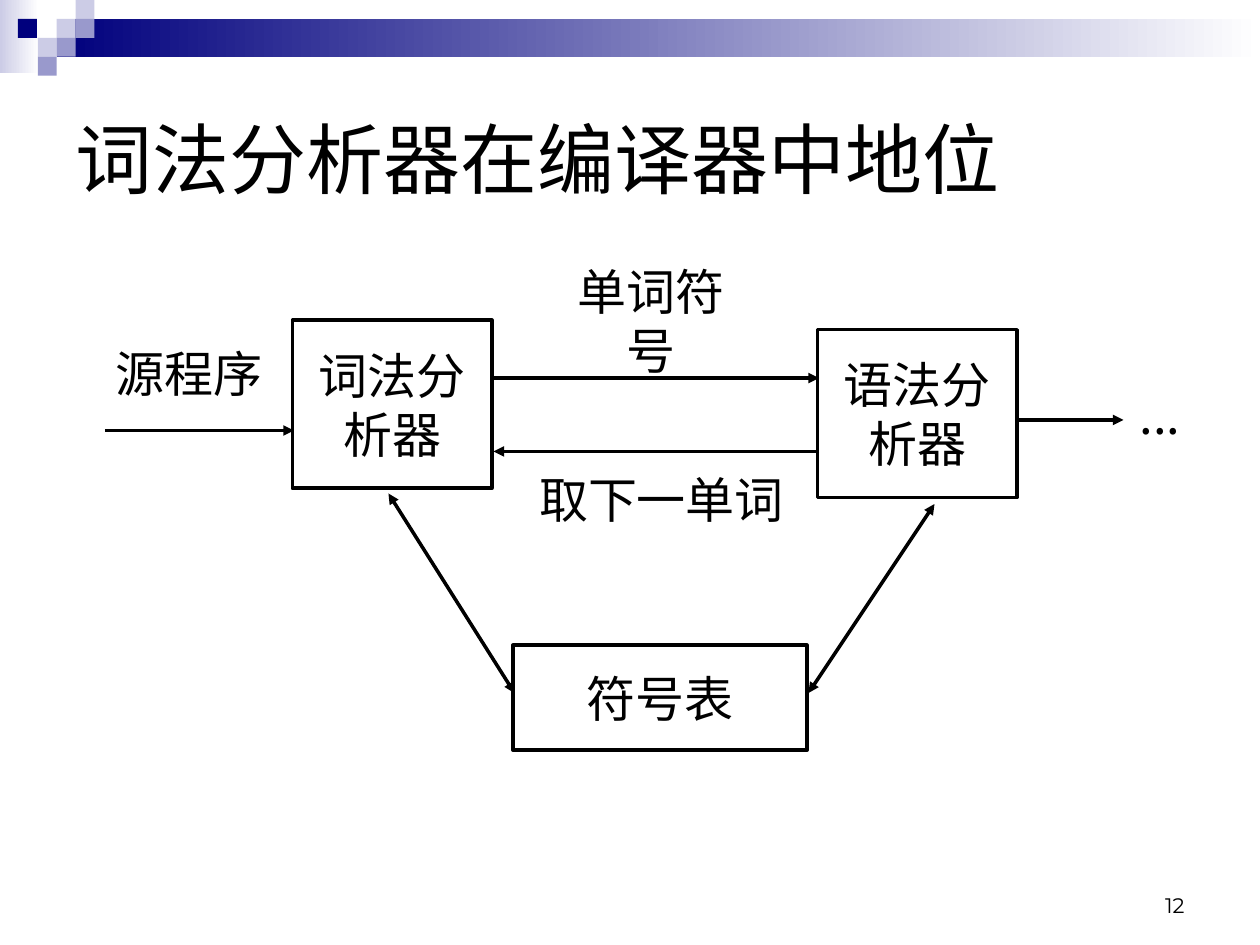
"""Build a slide on the place of the lexical analyser in a compiler."""
from dataclasses import dataclass

from lxml import etree
from pptx import Presentation
from pptx import util as u
from pptx.dml.color import RGBColor
from pptx.enum import shapes, text
from pptx.oxml.ns import qn

COLORS = {"ink": "000000", "navy": "00007D", "lilac": "CCCCE6",
          "violet": "9999CC", "white": "FFFFFF"}
CJK = "Noto Sans CJK SC"
COLS, ROWS = 120, 90
WIDTH, HEIGHT = u.Inches(10), u.Inches(7.5)
TILE = 1.8


@dataclass(frozen=True)
class Label:
    words: str
    col: float
    row: float
    cols: float
    rows: float
    boxed: bool = False


@dataclass(frozen=True)
class Arrow:
    start: tuple[float, float]
    end: tuple[float, float]
    double: bool = False


@dataclass(frozen=True)
class Band:
    col: float
    row: float
    cols: float
    rows: float
    color: str
    fade: bool = False


LABELS = [
    Label("词法分\n析器", 27.85, 30.5, 19, 16, True),
    Label("语法分\n析器", 77.85, 31.4, 19, 16, True),
    Label("符号表", 48.85, 61.45, 28, 10, True),
    Label("源程序", 8, 31, 20, 9),
    Label("单词符号", 52, 26, 20, 9),
    Label("取下一单词", 48, 43, 30, 9),
    Label("...", 105, 35, 11, 9),
]
ARROWS = [
    Arrow((10, 41), (28, 41)),
    Arrow((47, 36), (78, 36)),
    Arrow((78, 43), (47, 43)),
    Arrow((37, 47), (49, 66), True),
    Arrow((89, 48), (77, 66), True),
    Arrow((97, 40), (107, 40)),
]
TILES = [(3, 1, "lilac"), (4, 0, "lilac"), (4, 1, "violet"), (2, 2, "lilac"),
         (0.95, 1, "navy"), (3, 2, "violet"), (2, 3, "violet")]
BANDS = [
    Band(0, 0, 3.7, 7, "lilac", True),
    Band(3 * TILE, TILE, COLS - 3 * TILE, 2 * TILE, "navy", True),
    *(Band(c * TILE, r * TILE, TILE, TILE, color) for c, r, color in TILES),
]


def x(col: float) -> int:
    return round(WIDTH * col / COLS)


def y(row: float) -> int:
    return round(HEIGHT * row / ROWS)


def rgb(name: str) -> RGBColor:
    return RGBColor.from_string(COLORS[name])


def write(sp, words: str, *, size: float = 28, font: str = CJK, wrap: bool = False,
          align=text.PP_ALIGN.CENTER, anchor=text.MSO_ANCHOR.MIDDLE) -> None:
    tf = sp.text_frame
    tf.word_wrap = wrap
    tf.vertical_anchor = anchor
    tf.text = words
    for p in tf.paragraphs:
        p.alignment = align
        for r in p.runs:
            r.font.size = u.Pt(size)
            r.font.color.rgb = rgb("ink")
            r.font.name = font
            etree.SubElement(r.font._element, qn("a:ea"), typeface=font)


def add_rect(s, col: float, row: float, cols: float, rows: float):
    sp = s.shapes.add_shape(shapes.MSO_SHAPE.RECTANGLE, x(col), y(row), x(cols), y(rows))
    sp.shadow.inherit = False
    return sp


def add_text(s, words: str, col: float, row: float, cols: float, rows: float, **style) -> None:
    write(s.shapes.add_textbox(x(col), y(row), x(cols), y(rows)), words, **style)


def add_band(s, band: Band) -> None:
    sp = add_rect(s, band.col, band.row, band.cols, band.rows)
    sp.line.fill.background()
    if band.fade:
        sp.fill.gradient()
        sp.fill.gradient_angle = 0
        for stop, color in zip(sp.fill.gradient_stops, (band.color, "white")):
            stop.color.rgb = rgb(color)
    else:
        sp.fill.solid()
        sp.fill.fore_color.rgb = rgb(band.color)


def add_label(s, label: Label) -> None:
    place = label.col, label.row, label.cols, label.rows
    if not label.boxed:
        add_text(s, label.words, *place)
        return
    sp = add_rect(s, *place)
    sp.fill.background()
    sp.line.color.rgb = rgb("ink")
    sp.line.width = u.Pt(2)
    write(sp, label.words)


def add_arrow(s, arrow: Arrow) -> None:
    (c1, r1), (c2, r2) = arrow.start, arrow.end
    sp = s.shapes.add_connector(shapes.MSO_CONNECTOR.STRAIGHT, x(c1), y(r1), x(c2), y(r2))
    sp.line.color.rgb = rgb("ink")
    sp.line.width = u.Pt(2)
    props = sp._element.spPr
    for end in ("a:headEnd", "a:tailEnd") if arrow.double else ("a:tailEnd",):
        etree.SubElement(props.find(qn("a:ln")), qn(end), type="triangle")
    etree.SubElement(props, qn("a:effectLst"))


def main() -> None:
    prs = Presentation()
    prs.slide_width, prs.slide_height = WIDTH, HEIGHT
    s = prs.slides.add_slide(prs.slide_layouts[6])
    for band in BANDS:
        add_band(s, band)
    add_text(s, "12", 86, 82, 28, 6, size=12, font="Montserrat", wrap=True,
             align=text.PP_ALIGN.RIGHT, anchor=text.MSO_ANCHOR.BOTTOM)
    for label in LABELS:
        add_label(s, label)
    for arrow in ARROWS:
        add_arrow(s, arrow)
    add_text(s, "词法分析器在编译器中地位", 6, 6, 108, 18, size=44, font="Arial",
             wrap=True, align=text.PP_ALIGN.LEFT)
    prs.save("out.pptx")


if __name__ == "__main__":
    main()
